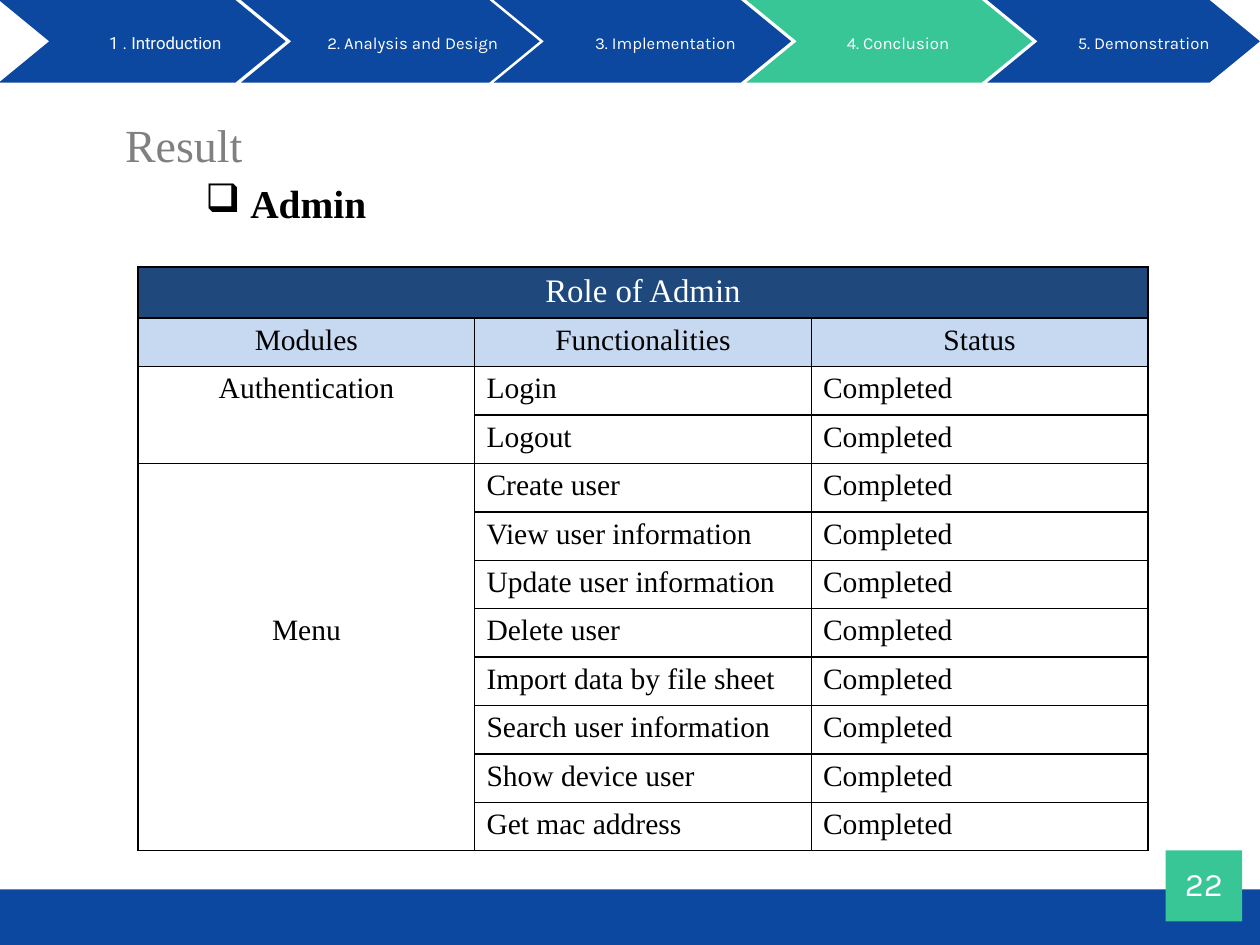
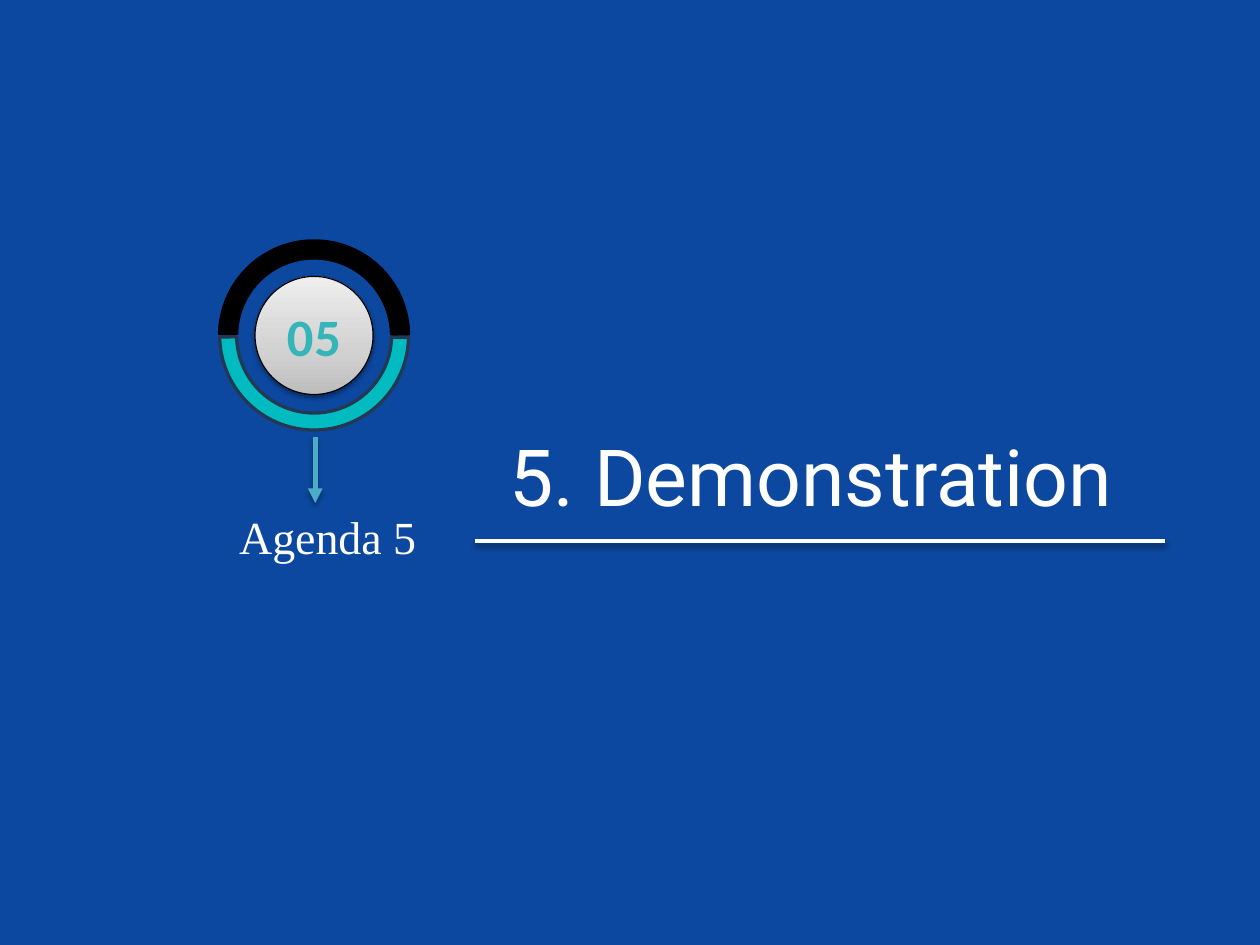
"""Build the admin result slide and the demonstration section slide."""
from copy import deepcopy
from dataclasses import dataclass

from pptx import Presentation
from pptx.dml.color import RGBColor
from pptx.enum.shapes import MSO_CONNECTOR, MSO_SHAPE
from pptx.enum.text import MSO_ANCHOR, PP_ALIGN
from pptx.oxml import parse_xml
from pptx.oxml.ns import nsdecls, qn
from pptx.util import Inches, Pt

STRAIGHT = MSO_CONNECTOR.STRAIGHT
CHEVRON = MSO_SHAPE.CHEVRON
RECTANGLE = MSO_SHAPE.RECTANGLE
ROUNDED = MSO_SHAPE.ROUNDED_RECTANGLE
ARC = MSO_SHAPE.BLOCK_ARC
OVAL = MSO_SHAPE.OVAL
TOP, MIDDLE = MSO_ANCHOR.TOP, MSO_ANCHOR.MIDDLE
LEFT, CENTER = PP_ALIGN.LEFT, PP_ALIGN.CENTER


@dataclass(frozen=True)
class Theme:
    blue: str = "0C489F"
    green: str = "39C697"
    white: str = "FFFFFF"
    black: str = "000000"
    gray: str = "808080"
    navy: str = "1F497D"
    pale: str = "C6D9F1"
    teal: str = "00BBC0"
    teal_edge: str = "233953"
    number: str = "36B5B9"
    number_edge: str = "4F81BD"
    arrow: str = "4BACC6"
    silver: tuple = ((0, "BDBDBD"), (0.35, "D1D1D1"), (1, "EEEEEE"))
    serif: str = "Times New Roman"
    sans: str = "Roboto"
    nav: str = "Karla"
    digits: str = "Calibri"
    nav_size: float = 10.2
    body_size: int = 18
    page_size: int = 20
    subhead_size: int = 24
    head_size: int = 28
    number_size: int = 32
    section_size: int = 48


theme = Theme()


def write(frame, text, font=theme.serif, size=theme.body_size, color=theme.black,
          bold=False, align=LEFT, anchor=TOP, inset=None, spacing=None):
    frame.word_wrap = True
    frame.vertical_anchor = anchor
    if inset is not None:
        frame.margin_left = frame.margin_right = Inches(inset)
        frame.margin_top = frame.margin_bottom = Inches(inset)
    paragraph = frame.paragraphs[0]
    paragraph.alignment = align
    if spacing:
        paragraph.line_spacing = Pt(spacing)
    run = paragraph.add_run()
    run.text = text
    run.font.name, run.font.size, run.font.bold = font, Pt(size), bold
    run.font.color.rgb = RGBColor.from_string(color)
    return paragraph


def add_form(slide, kind, box, fill=None, line=None, width=2):
    form = slide.shapes.add_shape(kind, *map(Inches, box))
    form.shadow.inherit = False
    if fill:
        form.fill.solid()
        form.fill.fore_color.rgb = RGBColor.from_string(fill)
    else:
        form.fill.background()
    if line:
        form.line.color.rgb = RGBColor.from_string(line)
        form.line.width = Pt(width)
    else:
        form.line.fill.background()
    return form


prs = Presentation()
prs.slide_width, prs.slide_height = Inches(10.67), Inches(8)
blank = prs.slide_layouts[6]

result = prs.slides.add_slide(blank)
steps = [
    ("1 . Introduction", theme.sans, -0.01, 2.43, 0.37, 2.06),
    ("2. Analysis and Design", theme.nav, 2.04, 2.53, 2.42, 2.15),
    ("3. Implementation", theme.nav, 4.18, 2.52, 4.56, 2.15),
    ("4. Conclusion", theme.nav, 6.32, 2.42, 6.6, 2.01),
    ("5. Demonstration", theme.nav, 8.36, 2.31, 8.73, 1.91),
]
current_step = 3
nav_height = 0.7
for index, (step, font, left, width, label_left, label_width) in enumerate(steps):
    fill = theme.green if index == current_step else theme.blue
    arrow = add_form(result, CHEVRON, (left, 0, width, nav_height), fill)
    arrow.adjustments[0] = 0.61
    label = result.shapes.add_textbox(
        *map(Inches, (label_left, 0, label_width, nav_height)))
    write(label.text_frame, step, font=font, size=theme.nav_size, color=theme.white,
          align=CENTER, anchor=MIDDLE, inset=0.03, spacing=14.2)

add_form(result, RECTANGLE, (0, 7.53, 10.67, 0.47), theme.blue)

heading = result.shapes.add_textbox(*map(Inches, (1.06, 1.06, 1.23, 0.39)))
write(heading.text_frame, "Result", size=theme.head_size, color=theme.gray,
      inset=0, spacing=28.5)

role = result.shapes.add_textbox(*map(Inches, (1.74, 1.53, 1.84, 0.39)))
role_line = write(role.text_frame, "Admin", size=theme.subhead_size, bold=True,
                  inset=0, spacing=28)
role_format = role_line._p.get_or_add_pPr()
role_format.set("marL", str(Inches(0.38)))
role_format.set("indent", str(Inches(-0.38)))
role_format.append(parse_xml(f'<a:buChar {nsdecls("a")} char="❑"/>'))

page = add_form(result, RECTANGLE, (9.87, 7.2, 0.65, 0.6), theme.green)
write(page.text_frame, "22", font=theme.nav, size=theme.page_size, color=theme.white,
      align=CENTER, anchor=MIDDLE, inset=0.06, spacing=21)

done = "Completed"
functions = [
    ("Authentication", "Login"), ("", "Logout"),
    ("", "Create user"), ("", "View user information"),
    ("", "Update user information"), ("Menu", "Delete user"),
    ("", "Import data by file sheet"), ("", "Search user information"),
    ("", "Show device user"), ("", "Get mac address"),
]
rows = [("", "Role of Admin", ""), ("Modules", "Functionalities", "Status")]
rows += [(module, function, done) for module, function in functions]
module_starts = {0, 1, 2, 4, len(rows)}
row_height = 0.41

roles = result.shapes.add_table(
    len(rows), 3, *map(Inches, (1.17, 2.26, 8.55, row_height * len(rows)))).table
roles.first_row = roles.horz_banding = False
for column in roles.columns:
    column.width = Inches(2.85)
for row, texts in enumerate(rows):
    roles.rows[row].height = Inches(row_height)
    for column, text in enumerate(texts):
        cell = roles.cell(row, column)
        edges = {
            "lnL": row > 0 or column == 0,
            "lnR": row > 0 or column == 2,
            "lnT": column > 0 or row in module_starts,
            "lnB": column > 0 or row + 1 in module_starts,
        }
        for edge, visible in edges.items():
            paint = (f'<a:solidFill><a:srgbClr val="{theme.black}"/></a:solidFill>'
                     if visible else "<a:noFill/>")
            cell._tc.get_or_add_tcPr().append(parse_xml(
                f'<a:{edge} {nsdecls("a")} w="{Pt(1)}">{paint}</a:{edge}>'))
        if row < 2:
            cell.fill.solid()
            cell.fill.fore_color.rgb = RGBColor.from_string((theme.navy, theme.pale)[row])
        else:
            cell.fill.background()
        if text:
            write(cell.text_frame, text,
                  size=theme.page_size if row == 0 else theme.body_size,
                  color=theme.white if row == 0 else theme.black,
                  align=CENTER if row < 2 or column == 0 else LEFT)

section = prs.slides.add_slide(blank)
section.background.fill.solid()
section.background.fill.fore_color.rgb = RGBColor.from_string(theme.blue)

title = section.shapes.add_textbox(*map(Inches, (4.02, 3.01, 5.7, 1.25)))
write(title.text_frame, "5. Demonstration", font=theme.sans, size=theme.section_size,
      color=theme.white, align=CENTER, inset=0, spacing=101.5)

for fill, edge, turn in ((theme.black, theme.black, 0), (theme.teal, theme.teal_edge, 180)):
    ring = add_form(section, ARC, (1.86, 2.04, 1.6, 1.6), fill, edge)
    ring.rotation = turn
    for index, value in enumerate((108.7, 215.46, 0.09)):
        ring.adjustments[index] = value

disc = add_form(section, OVAL, (2.16, 2.34, 1, 1), line=theme.black, width=0.75)
disc.fill.gradient()
disc.fill.gradient_angle = 90
stop_list = disc._element.spPr.find(".//" + qn("a:gsLst"))
stop_list.insert(1, deepcopy(stop_list[0]))
for stop, (position, color) in zip(disc.fill.gradient_stops, theme.silver):
    stop.position = position
    stop.color.rgb = RGBColor.from_string(color)
number = write(disc.text_frame, "05", font=theme.digits, size=theme.number_size,
               color=theme.number, bold=True, align=CENTER, anchor=MIDDLE)
number_format = number.runs[0]._r.get_or_add_rPr()
number_format.set("spc", "50")
number_format.insert(0, parse_xml(
    f'<a:ln {nsdecls("a")} w="{Pt(0.75)}"><a:solidFill>'
    f'<a:srgbClr val="{theme.number_edge}"/></a:solidFill></a:ln>'))

agenda = add_form(section, ROUNDED, (1.84, 4.36, 1.87, 0.35))
write(agenda.text_frame, "Agenda 5", size=theme.head_size, color=theme.white,
      align=CENTER, anchor=MIDDLE)

pointer = section.shapes.add_connector(STRAIGHT, *map(Inches, (2.67, 3.7, 2.67, 4.26)))
underline = section.shapes.add_connector(STRAIGHT, *map(Inches, (4.02, 4.58, 9.87, 4.58)))
for stroke, color in ((pointer, theme.arrow), (underline, theme.white)):
    stroke.line.color.rgb = RGBColor.from_string(color)
    stroke.line.width = Pt(3)
pointer._element.spPr.find(qn("a:ln")).append(
    parse_xml(f'<a:tailEnd {nsdecls("a")} type="triangle"/>'))

for raised, opacity, distance in ((disc, 38, 1.6), (pointer, 35, 1.8), (underline, 35, 1.8)):
    properties = raised._element.spPr
    for effects in properties.findall(qn("a:effectLst")):
        properties.remove(effects)
    properties.append(parse_xml(
        f'<a:effectLst {nsdecls("a")}><a:outerShdw blurRad="{Pt(3.1)}" '
        f'dist="{Pt(distance)}" dir="5400000" rotWithShape="0">'
        f'<a:srgbClr val="{theme.black}"><a:alpha val="{opacity * 1000}"/></a:srgbClr>'
        f'</a:outerShdw></a:effectLst>'))

prs.save("out.pptx")
